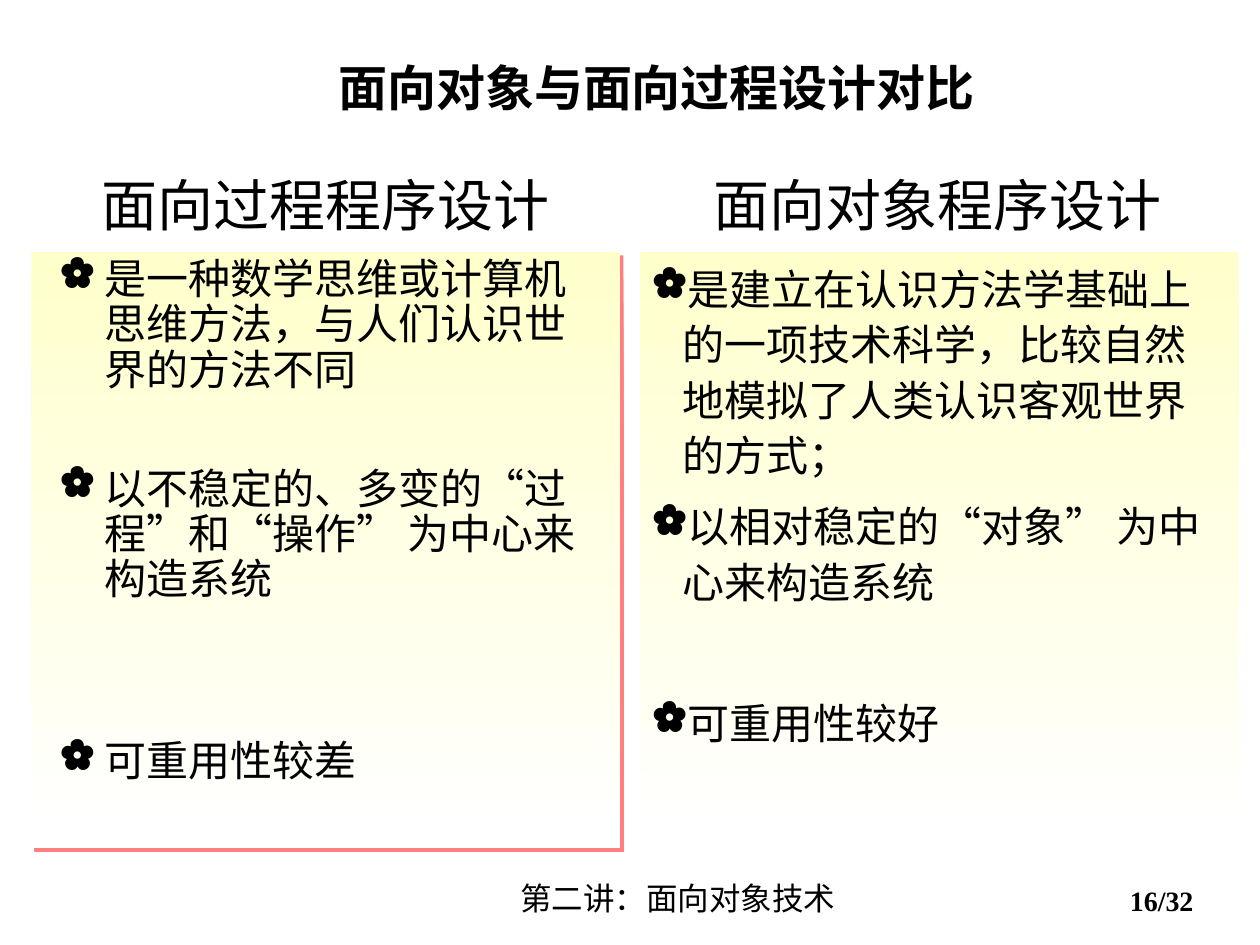
"""Build a slide comparing procedural and object-oriented design."""
from lxml.etree import SubElement
from pptx import Presentation
from pptx.dml.color import RGBColor
from pptx.enum.shapes import MSO_SHAPE as SHAPE
from pptx.enum.text import MSO_ANCHOR as ANCHOR, PP_ALIGN as ALIGN
from pptx.oxml import parse_xml
from pptx.oxml.ns import nsdecls, qn
from pptx.util import Inches, Pt


def rgb(value):
    return RGBColor.from_string(value)


def write(p, text, size, font, bold=False):
    r = p.add_run()
    r.text = text
    fmt = {"size": Pt(size), "name": font, "bold": bold}
    for name, value in fmt.items():
        setattr(r.font, name, value)
    r.font.color.rgb = rgb("000000")


prs = Presentation()
prs.slide_width, prs.slide_height = Inches(10), Inches(7.5)
s = prs.slides.add_slide(prs.slide_layouts[6])

SERIF, SANS = "Times New Roman", "Arial"
labels = [
    ("第二讲：面向对象技术", (4.03, 6.93, 3.4, 0.4), 18, SERIF, False,
     ALIGN.LEFT, ANCHOR.TOP, (0.1, 0.05), 1),
    ("16/32", (7.79, 6.83, 1.78, 0.5), 16, SERIF, True,
     ALIGN.RIGHT, ANCHOR.BOTTOM, (0.1, 0.05), 1),
    ("面向对象与面向过程设计对比", (0.42, 0.4, 9.58, 0.58), 28, SANS, True,
     ALIGN.CENTER, ANCHOR.MIDDLE, (0, 0.01), 1),
    ("面向过程程序设计", (0.71, 1.25, 3.75, 0.64), 32, SERIF, False,
     ALIGN.CENTER, ANCHOR.MIDDLE, (0, 0), 1.2),
    ("面向对象程序设计", (5.65, 1.25, 3.58, 0.64), 32, SERIF, False,
     ALIGN.CENTER, ANCHOR.MIDDLE, (0, 0), 1.2),
]
for text, box, size, font, bold, align, anchor, (dx, dy), spacing in labels:
    tf = s.shapes.add_textbox(*map(Inches, box)).text_frame
    fmt = {"word_wrap": True, "vertical_anchor": anchor,
           "margin_left": Inches(dx), "margin_right": Inches(dx),
           "margin_top": Inches(dy), "margin_bottom": Inches(dy)}
    for name, value in fmt.items():
        setattr(tf, name, value)
    p = tf.paragraphs[0]
    p.alignment, p.line_spacing = align, spacing
    write(p, text, size, font, bold)

panels = [
    ((0.25, 2, 4.67, 4.73), 0.9, 0.48, 0.35, True, [
        (0, "是一种数学思维或计算机思维方法，与人们认识世界的方法不同"),
        (42, "以不稳定的、多变的“过程”和“操作” 为中心来构造系统"),
        (78, "可重用性较差")]),
    ((5.08, 2, 4.75, 4.71), 1.1, 0.24, 0.24, False, [
        (0, "是建立在认识方法学基础上的一项技术科学，比较自然地模拟了人类认识客观世界的方式；"),
        (9, "以相对稳定的“对象” 为中心来构造系统"),
        (49, "可重用性较好")]),
]
for box, spacing, left, hang, shadow, items in panels:
    sp = s.shapes.add_shape(SHAPE.RECTANGLE, *map(Inches, box))
    sp.shadow.inherit = False
    sp.line.fill.background()
    sp.fill.gradient()
    sp.fill.gradient_angle = 270
    for stop, color in zip(sp.fill.gradient_stops, ("FFFFCC", "FFFFFF")):
        stop.color.rgb = rgb(color)
    if shadow:
        effects = sp.element.spPr.find(qn("a:effectLst"))
        effects.append(parse_xml(
            f'<a:outerShdw {nsdecls("a")} dist="{Pt(2.8)}" dir="2700000" algn="tl">'
            '<a:srgbClr val="FF0000"><a:alpha val="50000"/></a:srgbClr></a:outerShdw>'))
    tf = sp.text_frame
    tf.word_wrap, tf.vertical_anchor = True, ANCHOR.TOP
    for i, (before, text) in enumerate(items):
        p = tf.add_paragraph() if i else tf.paragraphs[0]
        fmt = {"alignment": ALIGN.LEFT, "line_spacing": spacing, "space_before": Pt(before)}
        for name, value in fmt.items():
            setattr(p, name, value)
        pPr = p._p.get_or_add_pPr()
        pPr.set("marL", str(Inches(left)))
        pPr.set("indent", str(-Inches(hang)))
        SubElement(SubElement(pPr, qn("a:buClr")), qn("a:srgbClr"), val="000000")
        SubElement(pPr, qn("a:buChar"), char="✿")
        write(p, text, 24, SANS)

prs.save("out.pptx")
